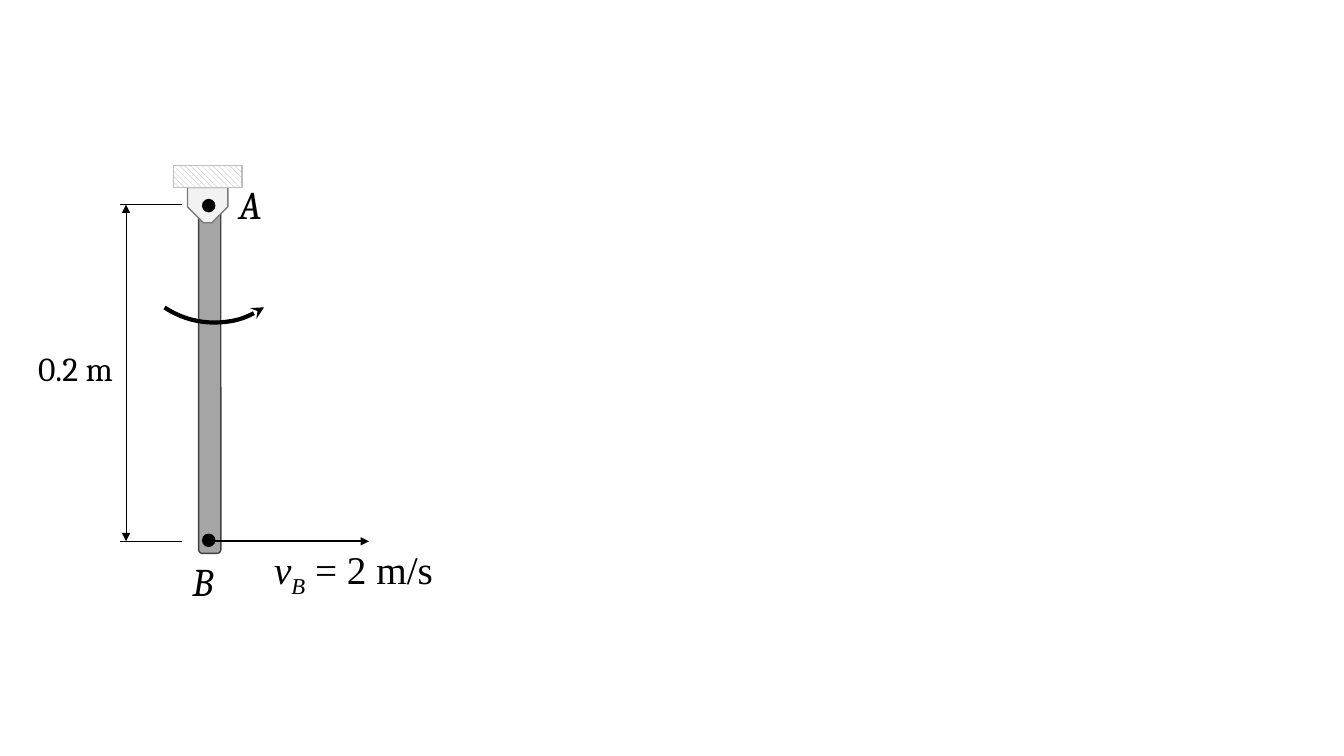
from lxml.etree import SubElement as Sub
from pptx import Presentation
from pptx.dml.color import RGBColor
from pptx.enum.dml import MSO_PATTERN as PATTERN
from pptx.enum.shapes import MSO_CONNECTOR as LINK, MSO_SHAPE as KIND
from pptx.enum.text import MSO_AUTO_SIZE as SIZE
from pptx.oxml.ns import qn
from pptx.util import Inches, Pt

BLACK = RGBColor(0x00, 0x00, 0x00)
WHITE = RGBColor(0xFF, 0xFF, 0xFF)
STEEL = RGBColor(0xA5, 0xA5, 0xA5)
EDGE = RGBColor(0x40, 0x40, 0x40)
PALE = RGBColor(0xF2, 0xF2, 0xF2)
RIM = RGBColor(0x7A, 0x7A, 0x7A)
FRAME = RGBColor(0xBF, 0xBF, 0xBF)

CELL = Inches(0.1)
AXIS = 20.7
TOP, END = 20.3, 53.7
DOT = 1.2


def grid(*cells):
    return [round(cell * CELL) for cell in cells]


def add_tips(shape, **tips):
    ln = shape._element.spPr.find(qn("a:ln"))
    for side in ("head", "tail"):
        if side in tips:
            Sub(ln, qn(f"a:{side}End"), type=tips[side])


def add_part(slide, kind, box, fill, edge, width=1, turn=0):
    part = slide.shapes.add_shape(kind, *grid(*box))
    part.shadow.inherit = False
    part.rotation = turn
    if fill is None:
        part.fill.background()
    else:
        part.fill.solid()
        part.fill.fore_color.rgb = fill
    part.line.color.rgb = edge
    part.line.width = Pt(width)
    return part


def add_dot(slide, mid):
    box = (AXIS - DOT / 2, mid - DOT / 2, DOT, DOT)
    add_part(slide, KIND.OVAL, box, BLACK, BLACK)


def add_line(slide, start, stop, width=0.5, **tips):
    line = slide.shapes.add_connector(LINK.STRAIGHT, *grid(*start, *stop))
    line.line.color.rgb = BLACK
    line.line.width = Pt(width)
    add_tips(line, **tips)
    Sub(line._element.spPr, qn("a:effectLst"))


def add_run(para, text, font="Cambria", size=28, italic=False, base=0):
    run = para.add_run()
    run.text = text
    run.font.name = font
    run.font.size = Pt(size)
    run.font.italic = italic
    run.font.color.rgb = BLACK
    if base:
        run.font._element.set("baseline", str(base * 1000))


def add_label(slide, box, *runs, grow=True):
    frame = slide.shapes.add_textbox(*grid(*box)).text_frame
    frame.word_wrap = True
    frame.auto_size = SIZE.SHAPE_TO_FIT_TEXT if grow else SIZE.NONE
    for text, style in runs:
        add_run(frame.paragraphs[0], text, **style)


def add_mount(slide):
    clip = add_part(slide, KIND.SNIP_2_SAME_RECTANGLE, (18.6, 18.6, 4, 3.5),
                    PALE, RIM, turn=180)
    clip.adjustments[0] = 0.45
    clip.adjustments[1] = 0
    wall = add_part(slide, KIND.RECTANGLE, (17.2, 16.4, 6.8, 2.2), WHITE, FRAME)
    wall.fill.patterned()
    wall.fill.pattern = PATTERN.WIDE_DOWNWARD_DIAGONAL
    wall.fill.fore_color.rgb = STEEL
    wall.fill.back_color.rgb = WHITE


def add_gauge(slide):
    for row in (TOP, END):
        add_line(slide, (18.1, row), (11.9, row))
    add_line(slide, (12.5, END), (12.5, TOP), head="triangle", tail="triangle")


def add_spin(slide):
    arc = add_part(slide, KIND.ARC, (12.4, 14.3, 17.7, 17.7), None, BLACK,
                   width=3, turn=326)
    arc.adjustments[0] = 162
    arc.adjustments[1] = 202.67
    for flip in ("flipH", "flipV"):
        arc._element.spPr.xfrm.set(flip, "1")
    add_tips(arc, head="stealth")


def main():
    deck = Presentation()
    deck.slide_width, deck.slide_height = Inches(13.33), Inches(7.5)
    slide = deck.slides.add_slide(deck.slide_layouts[6])

    add_part(slide, KIND.ROUNDED_RECTANGLE, (19.7, 20.1, 2.2, 34.8), STEEL, EDGE)
    add_mount(slide)
    add_dot(slide, 20.4)
    add_dot(slide, 53.6)

    slant = {"italic": True}
    add_label(slide, (18.1, 54.8, 9.2, 5.7), ("B", slant))
    add_label(slide, (22.7, 17.4, 9.2, 5.7), ("A", slant))
    add_gauge(slide)
    add_label(slide, (2.8, 34, 16.4, 5), ("0.2 m", {"size": 24}))

    add_line(slide, (AXIS, END), (36.6, END), width=1.5, tail="triangle")
    roman = {"font": "Times New Roman"}
    add_label(slide, (26.2, 53.6, 18.9, 5.7),
              ("v", roman | slant),
              ("B", roman | slant | {"base": -25}),
              (" = 2 m/s", roman), grow=False)
    add_spin(slide)
    deck.save("out.pptx")


if __name__ == "__main__":
    main()
